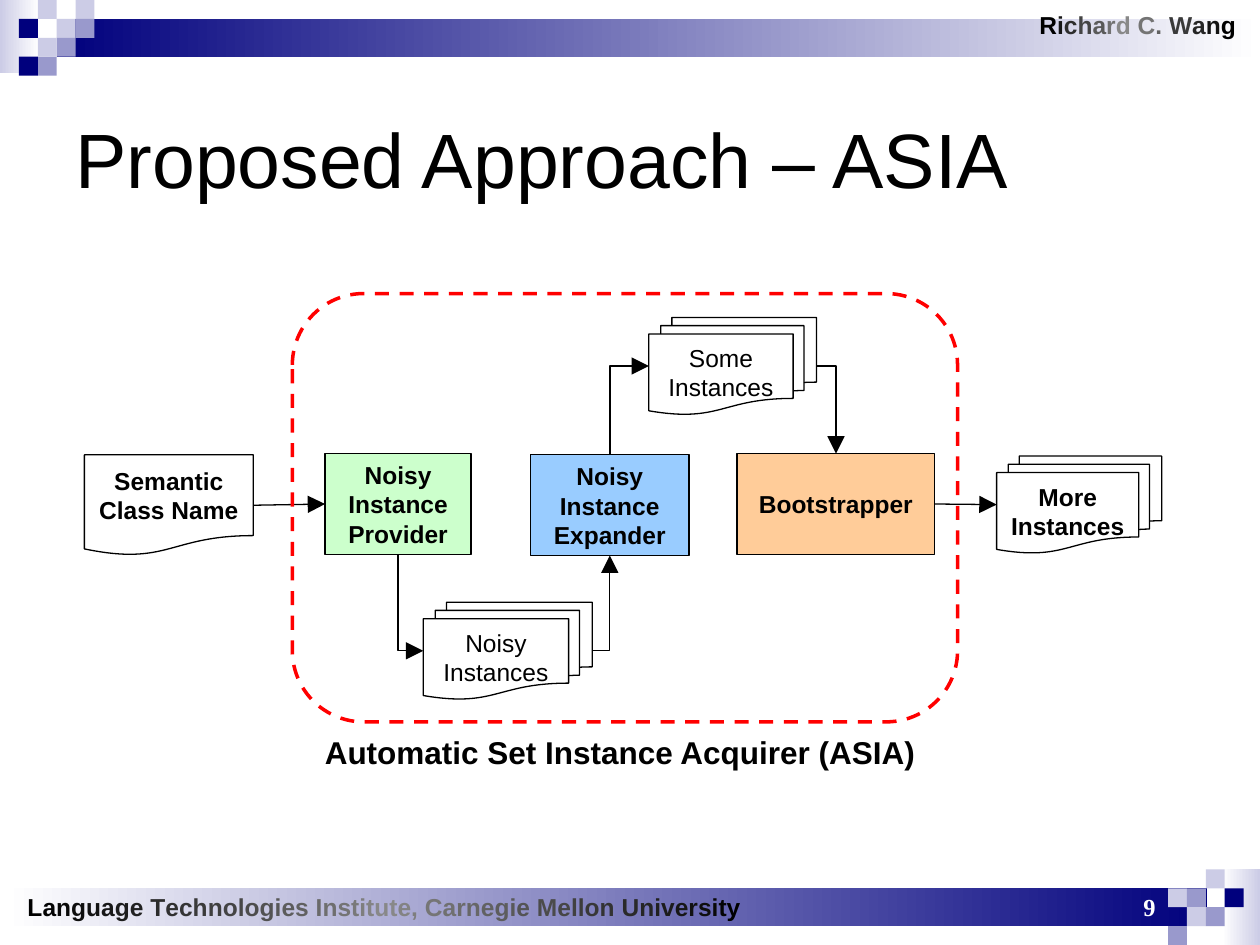
from typing import NamedTuple

from lxml import etree
from pptx import Presentation
from pptx.dml.color import RGBColor
from pptx.enum.dml import MSO_LINE
from pptx.enum.shapes import MSO_CONNECTOR, MSO_SHAPE
from pptx.enum.text import MSO_ANCHOR, PP_ALIGN
from pptx.oxml.ns import qn
from pptx.util import Inches, Pt

RECT = MSO_SHAPE.RECTANGLE
PAGE = MSO_SHAPE.FLOWCHART_DOCUMENT
PAGES = MSO_SHAPE.FLOWCHART_MULTIDOCUMENT
ROUNDED = MSO_SHAPE.ROUNDED_RECTANGLE
STRAIGHT, ELBOW = MSO_CONNECTOR.STRAIGHT, MSO_CONNECTOR.ELBOW
TOP, MIDDLE = MSO_ANCHOR.TOP, MSO_ANCHOR.MIDDLE
LEFT_AL, CENTER_AL, RIGHT_AL = PP_ALIGN.LEFT, PP_ALIGN.CENTER, PP_ALIGN.RIGHT
# Connection sites of boxes and documents
SITE_TOP, SITE_LEFT, SITE_BOTTOM, SITE_RIGHT = range(4)

BLACK = RGBColor(0x00, 0x00, 0x00)
WHITE = RGBColor(0xFF, 0xFF, 0xFF)
NAVY = RGBColor(0x00, 0x00, 0x7D)
LILAC = RGBColor(0x99, 0x99, 0xCC)
PALE = RGBColor(0xCC, 0xCC, 0xE6)
GREEN = RGBColor(0xCC, 0xFF, 0xCC)
BLUE = RGBColor(0x99, 0xCC, 0xFF)
ORANGE = RGBColor(0xFF, 0xCC, 0x99)
RED = RGBColor(0xFF, 0x00, 0x00)

TILE = 0.15       # grid step of the corner mosaics, inches
PEAK_GREY = 136   # lightest grey in the shaded captions


class Box(NamedTuple):
    x: float
    y: float
    w: float
    h: float


class Tile(NamedTuple):
    col: int
    row: int
    color: RGBColor


class Node(NamedTuple):
    name: str
    kind: int
    box: Box
    fill: RGBColor | None = None
    bold: bool = True


class Link(NamedTuple):
    start: str
    start_site: int
    end: str
    end_site: int


TOP_TILES = [
    Tile(3, 1, PALE), Tile(4, 0, PALE), Tile(4, 1, LILAC), Tile(2, 0, PALE),
    Tile(1, 1, NAVY), Tile(3, 2, LILAC), Tile(2, 3, LILAC), Tile(2, 2, PALE),
    Tile(1, 3, NAVY),
]
BOTTOM_TILES = [
    Tile(0, 1, PALE), Tile(2, 0, PALE), Tile(1, 1, LILAC), Tile(1, 2, PALE),
    Tile(3, 1, NAVY), Tile(0, 3, LILAC), Tile(2, 2, LILAC),
]
NODES = [
    Node("Noisy Instance Provider", RECT, Box(2.58, 3.6, 1.16, 0.8), GREEN),
    Node("Noisy Instance Expander", RECT, Box(4.21, 3.61, 1.26, 0.8), BLUE),
    Node("Bootstrapper", RECT, Box(5.85, 3.6, 1.57, 0.8), ORANGE),
    Node("Semantic Class Name", PAGE, Box(0.67, 3.61, 1.34, 0.8)),
    Node("Noisy Instances", PAGES, Box(3.36, 4.78, 1.34, 0.77), bold=False),
    Node("Some Instances", PAGES, Box(5.15, 2.52, 1.33, 0.77), bold=False),
    Node("More Instances", PAGES, Box(7.91, 3.62, 1.31, 0.77)),
]
LINKS = [
    Link("Semantic Class Name", SITE_RIGHT, "Noisy Instance Provider", SITE_LEFT),
    Link("Noisy Instance Provider", SITE_BOTTOM, "Noisy Instances", SITE_LEFT),
    Link("Noisy Instances", SITE_RIGHT, "Noisy Instance Expander", SITE_BOTTOM),
    Link("Noisy Instance Expander", SITE_TOP, "Some Instances", SITE_LEFT),
    Link("Some Instances", SITE_RIGHT, "Bootstrapper", SITE_TOP),
    Link("Bootstrapper", SITE_RIGHT, "More Instances", SITE_LEFT),
]


def add_run(p, text: str, size: float, color=BLACK, bold=False, font="Arial") -> None:
    r = p.add_run()
    r.text = text
    r.font.name, r.font.size, r.font.bold = font, Pt(size), bold
    r.font.color.rgb = color


def add_shape(s, kind: int, box: Box, fill=None, line=None, width=0.75):
    """Draw a preset shape; a pair of colours fills it left to right."""
    sp = s.shapes.add_shape(kind, *map(Inches, box))
    sp.shadow.inherit = False
    if fill is None:
        sp.fill.background()
    elif isinstance(fill, list):
        sp.fill.gradient()
        sp.fill.gradient_angle = 0
        for stop, color, position in zip(sp.fill.gradient_stops, fill, (0, 1)):
            stop.color.rgb, stop.position = color, position
    else:
        sp.fill.solid()
        sp.fill.fore_color.rgb = fill
    if line is None:
        sp.line.fill.background()
    else:
        sp.line.color.rgb, sp.line.width = line, Pt(width)
    return sp


def add_tiles(s, x: float, y: float, tiles: list[Tile]) -> None:
    for t in tiles:
        add_shape(s, RECT, Box(x + t.col * TILE, y + t.row * TILE, TILE, TILE), t.color)


def text_box(s, box: Box, anchor=MIDDLE, align=LEFT_AL):
    """Add an empty wrapped text box and return its first paragraph."""
    tf = s.shapes.add_textbox(*map(Inches, box)).text_frame
    tf.word_wrap, tf.vertical_anchor = True, anchor
    p = tf.paragraphs[0]
    p.alignment = align
    return p


def add_shaded(p, text: str) -> None:
    """Fade letters from black to grey and back; a space joins the letter before."""
    last = len(text) - 1
    mid = last // 2
    for i, letter in enumerate(text):
        if letter == " ":
            continue
        grey = int(PEAK_GREY * min(1, i / (mid - 1), (last - i) / (last - mid)))
        space = " " if text[i + 1:i + 2] == " " else ""
        add_run(p, letter + space, 14, RGBColor(grey, grey, grey), True)


def add_link(s, shapes: dict, link: Link) -> None:
    straight = (link.start_site, link.end_site) == (SITE_RIGHT, SITE_LEFT)
    c = s.shapes.add_connector(STRAIGHT if straight else ELBOW, 0, 0, 0, 0)
    c.begin_connect(shapes[link.start], link.start_site)
    c.end_connect(shapes[link.end], link.end_site)
    c.line.color.rgb, c.line.width = BLACK, Pt(0.75)
    props = c._element.spPr
    if not straight:
        props.find(qn("a:prstGeom")).set("prst", "bentConnector2")
    if link.start_site in (SITE_TOP, SITE_BOTTOM):
        # The bend leaves sideways, so a vertical start needs a quarter turn
        dx, dy = c.end_x - c.begin_x, c.end_y - c.begin_y
        cx, cy = c.begin_x + dx // 2, c.begin_y + dy // 2
        c.begin_x, c.begin_y = cx - dy // 2, cy + dx // 2
        c.end_x, c.end_y = cx + dy // 2, cy - dx // 2
        props.find(qn("a:xfrm")).set("rot", "5400000")
    etree.SubElement(props.find(qn("a:ln")), qn("a:tailEnd"),
                     type="triangle", w="lg", len="lg")
    etree.SubElement(props, qn("a:effectLst"))


def main() -> None:
    prs = Presentation()
    prs.slide_width, prs.slide_height = Inches(10), Inches(7.5)
    s = prs.slides.add_slide(prs.slide_layouts[6])

    # Footer band
    add_shape(s, RECT, Box(9.7, 6.9, 0.3, 0.6), [WHITE, PALE])
    add_shape(s, RECT, Box(0.04, 7.05, 9.54, 0.3), [WHITE, NAVY])
    add_tiles(s, 9.27, 6.9, BOTTOM_TILES)
    add_shaded(text_box(s, Box(0.12, 6.95, 8.03, 0.5)),
               "Language Technologies Institute, Carnegie Mellon University")

    # Header band
    add_shape(s, RECT, Box(0, 0, 0.31, 0.58), [PALE, WHITE])
    add_shape(s, RECT, Box(0.45, 0.15, 9.55, 0.3), [NAVY, WHITE])
    add_tiles(s, 0, 0, TOP_TILES)
    add_shaded(text_box(s, Box(8.15, 0.03, 1.81, 0.5), TOP), "Richard C. Wang")

    # Title
    add_run(text_box(s, Box(0.5, 0.5, 9, 1.5)), "Proposed Approach – ASIA", 44)

    # Flow diagram
    shapes = {}
    for node in NODES:
        sp = shapes[node.name] = add_shape(s, node.kind, node.box, node.fill, BLACK)
        tf = sp.text_frame
        tf.word_wrap, tf.vertical_anchor = True, MIDDLE
        p = tf.paragraphs[0]
        p.alignment = CENTER_AL
        add_run(p, node.name, 14, bold=node.bold)
    for link in LINKS:
        add_link(s, shapes, link)

    # System boundary and its caption
    frame = add_shape(s, ROUNDED, Box(2.32, 2.33, 5.28, 3.4), line=RED, width=2)
    frame.line.dash_style = MSO_LINE.DASH
    add_run(text_box(s, Box(2.48, 5.77, 4.96, 0.4), TOP),
            "Automatic Set Instance Acquirer (ASIA)", 18, bold=True)

    # Page number
    add_run(text_box(s, Box(8.31, 6.95, 0.96, 0.5), align=RIGHT_AL),
            "9", 14, WHITE, True, "Times New Roman")

    prs.save("out.pptx")


if __name__ == "__main__":
    main()
